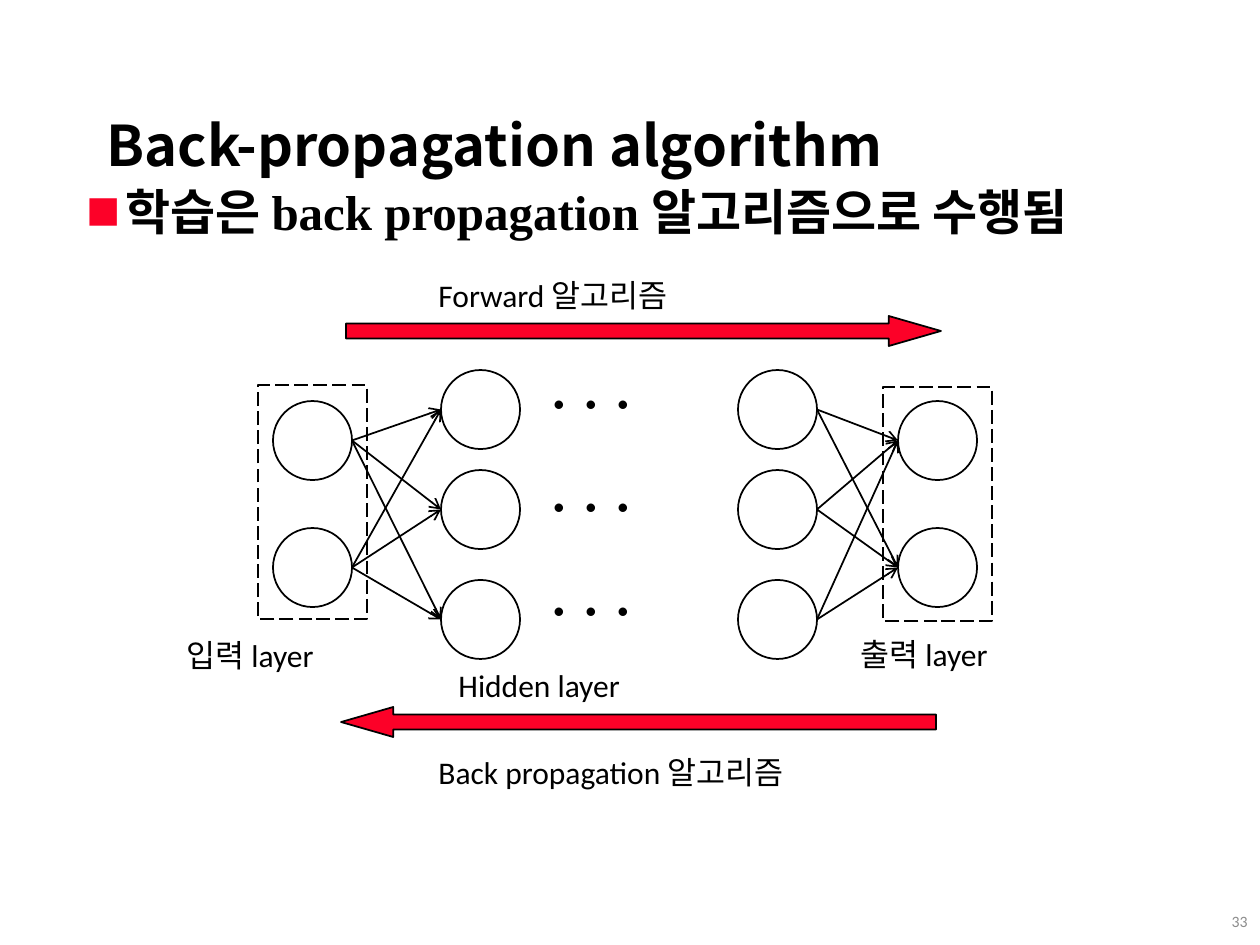
from itertools import product

from lxml import etree
from pptx import Presentation
from pptx.dml.color import RGBColor
from pptx.enum.dml import MSO_LINE
from pptx.enum.shapes import MSO_CONNECTOR, MSO_SHAPE
from pptx.enum.text import MSO_ANCHOR, PP_ALIGN
from pptx.oxml.ns import qn
from pptx.util import Emu, Pt

OVAL, RECTANGLE, ARROW = MSO_SHAPE.OVAL, MSO_SHAPE.RECTANGLE, MSO_SHAPE.RIGHT_ARROW
STRAIGHT, LONG_DASH = MSO_CONNECTOR.STRAIGHT, MSO_LINE.LONG_DASH
TOP, MIDDLE = MSO_ANCHOR.TOP, MSO_ANCHOR.MIDDLE
LEFT, RIGHT = PP_ALIGN.LEFT, PP_ALIGN.RIGHT

PX = 914400 / 126
COLORS = {name: RGBColor.from_string(code) for name, code in {
    "black": "000000", "white": "FFFFFF", "red": "FC0128", "gray": "8C8C8C",
}.items()}
KOREAN_FONT = "Noto Sans CJK KR"


def add_text(text, bounds, size, font="Calibri", color="black", bold=False,
             anchor=TOP, align=LEFT):
    """Add a wrapping text box of one paragraph and return the paragraph."""
    box = page.shapes.add_textbox(*(Emu(round(n * PX)) for n in bounds))
    frame = box.text_frame
    frame.text = text
    frame.word_wrap = True
    frame.vertical_anchor = anchor
    para = frame.paragraphs[0]
    para.alignment = align
    for span in para.runs:
        span.font.size = Pt(size)
        span.font.name = font
        span.font.bold = bold
        span.font.color.rgb = COLORS[color]
        east_asian = etree.SubElement(span.font._element, qn("a:ea"))
        east_asian.set("typeface", KOREAN_FONT)
    return para


def add_outlined(preset, bounds, fill=None):
    shape = page.shapes.add_shape(preset, *(Emu(round(n * PX)) for n in bounds))
    shape.shadow.inherit = False
    if fill:
        shape.fill.solid()
        shape.fill.fore_color.rgb = COLORS[fill]
    else:
        shape.fill.background()
    shape.line.color.rgb = COLORS["black"]
    shape.line.width = Pt(1)
    return shape


deck = Presentation()
deck.slide_width, deck.slide_height = Emu(round(1260 * PX)), Emu(round(945 * PX))
page = deck.slides.add_slide(deck.slide_layouts[6])

# Heading, bullet and page number
bullet = add_text("학습은 back propagation 알고리즘으로 수행됨", (74, 175, 1105, 725), 28,
                  font="Times New Roman", bold=True)
properties = bullet._p.get_or_add_pPr()
properties.set("marL", str(round(39 * PX)))
properties.set("indent", str(round(-39 * PX)))
bullet_color = etree.SubElement(properties, qn("a:buClr"))
etree.SubElement(bullet_color, qn("a:srgbClr")).set("val", str(COLORS["red"]))
etree.SubElement(properties, qn("a:buSzPct")).set("val", "70000")
etree.SubElement(properties, qn("a:buFont")).set("typeface", KOREAN_FONT)
etree.SubElement(properties, qn("a:buChar")).set("char", "■")

title = add_text("Back-propagation algorithm", (94, 57, 1241, 183), 32,
                 font=KOREAN_FONT, bold=True, anchor=MIDDLE)
title.line_spacing = 0.9
add_text("33", (1192, 896, 68, 50), 9, color="gray", anchor=MIDDLE, align=RIGHT)

# Direction arrows
for left, top, rotation in [(346, 316, 0), (341, 707, 180)]:
    arrow = add_outlined(ARROW, (left, top, 595, 30), "red")
    arrow.adjustments[0] = 0.5
    arrow.adjustments[1] = 1.738
    arrow.rotation = rotation

# Neurons of each layer
DIAMETER = 79
OUTER_TOPS, HIDDEN_TOPS = (401, 528), (370, 470, 580)
layers = {
    "input": (273, OUTER_TOPS),
    "first hidden": (441, HIDDEN_TOPS),
    "last hidden": (738, HIDDEN_TOPS),
    "output": (898, OUTER_TOPS),
}
for left, tops in layers.values():
    for top in tops:
        add_outlined(OVAL, (left, top, DIAMETER, DIAMETER), "white")

# Weights between neighbouring layers
for source, target in [("input", "first hidden"), ("last hidden", "output")]:
    source_left, source_tops = layers[source]
    target_left, target_tops = layers[target]
    for source_top, target_top in product(source_tops, target_tops):
        ends = (source_left + DIAMETER, source_top + DIAMETER / 2,
                target_left, target_top + DIAMETER / 2)
        weight = page.shapes.add_connector(STRAIGHT, *(Emu(round(n * PX)) for n in ends))
        weight.line.color.rgb = COLORS["black"]
        weight.line.width = Pt(1)
        etree.SubElement(weight.line._get_or_add_ln(), qn("a:tailEnd")).set("type", "arrow")
        etree.SubElement(weight._element.spPr, qn("a:effectLst"))

# Ellipsis dots between the hidden layers, spaced by tab stops
for top in (386, 489, 593):
    dots = add_text("●\t●\t●", (541, top, 198, 37), 10.5)
    tab_list = etree.SubElement(dots._p.get_or_add_pPr(), qn("a:tabLst"))
    for position in (32, 64):
        tab = etree.SubElement(tab_list, qn("a:tab"))
        tab.set("pos", str(round(position * PX)))
        tab.set("algn", "l")

# Captions
for text, left, top, width in [
    ("Forward 알고리즘", 426, 270, 436),
    ("Back propagation 알고리즘", 426, 747, 436),
    ("입력 layer", 174, 630, 268),
    ("Hidden layer", 446, 660, 362),
    ("출력 layer", 848, 629, 189),
]:
    add_text(text, (left, top, width, 50), 18)

# Frames around the input and output layers
for left, top in [(258, 385), (883, 387)]:
    frame_box = add_outlined(RECTANGLE, (left, top, 109, 234))
    frame_box.line.dash_style = LONG_DASH

deck.save("out.pptx")
